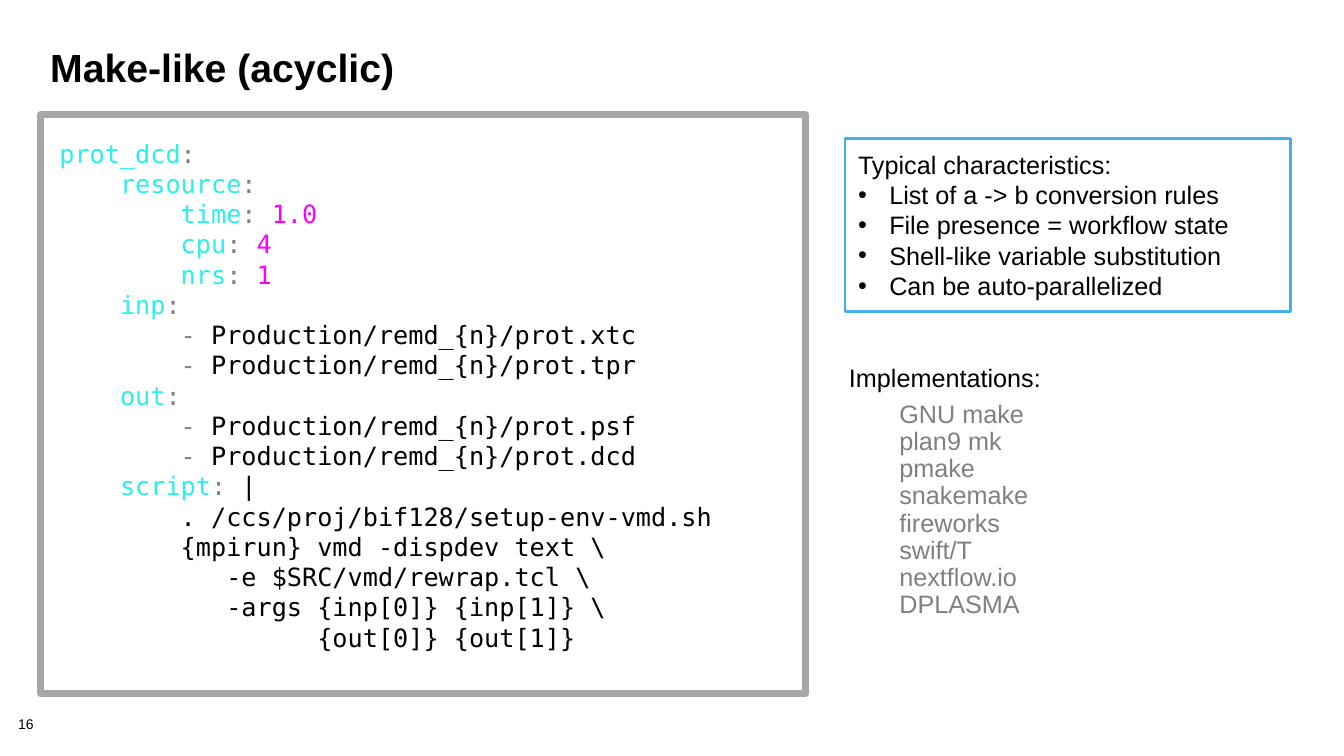
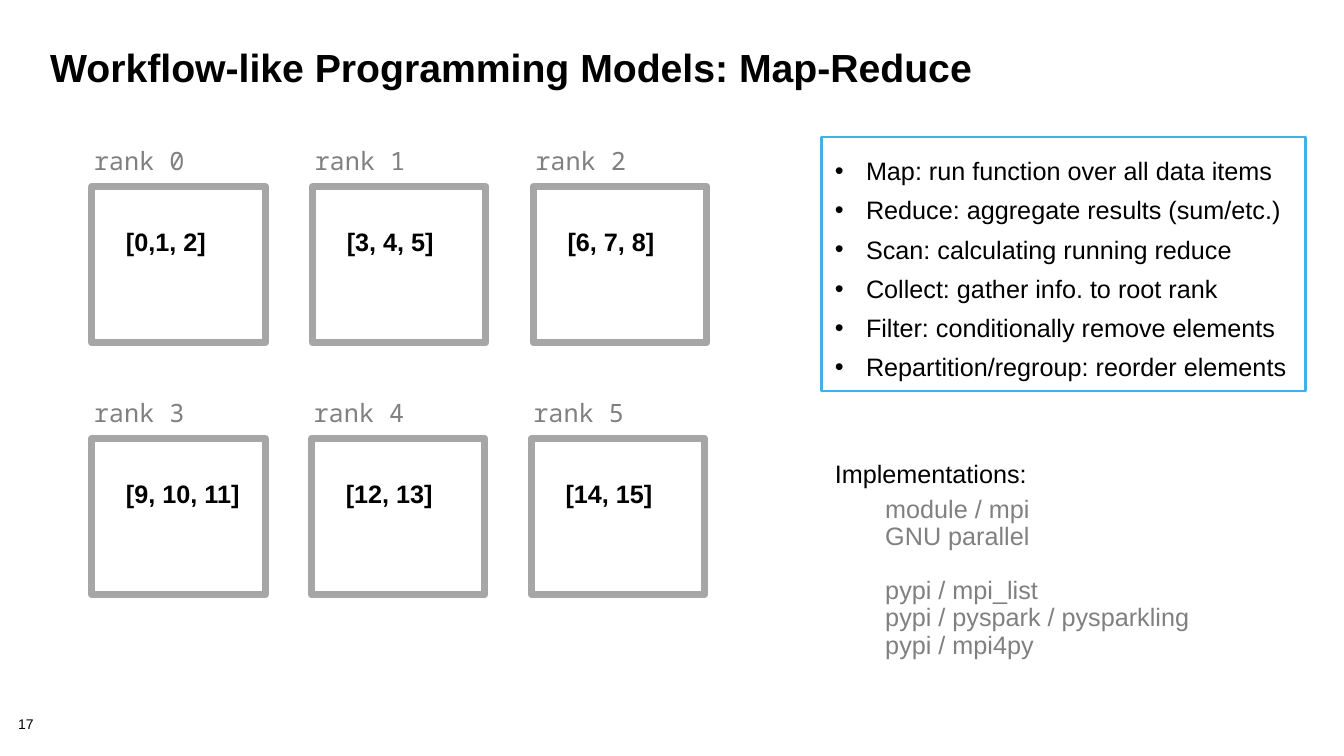
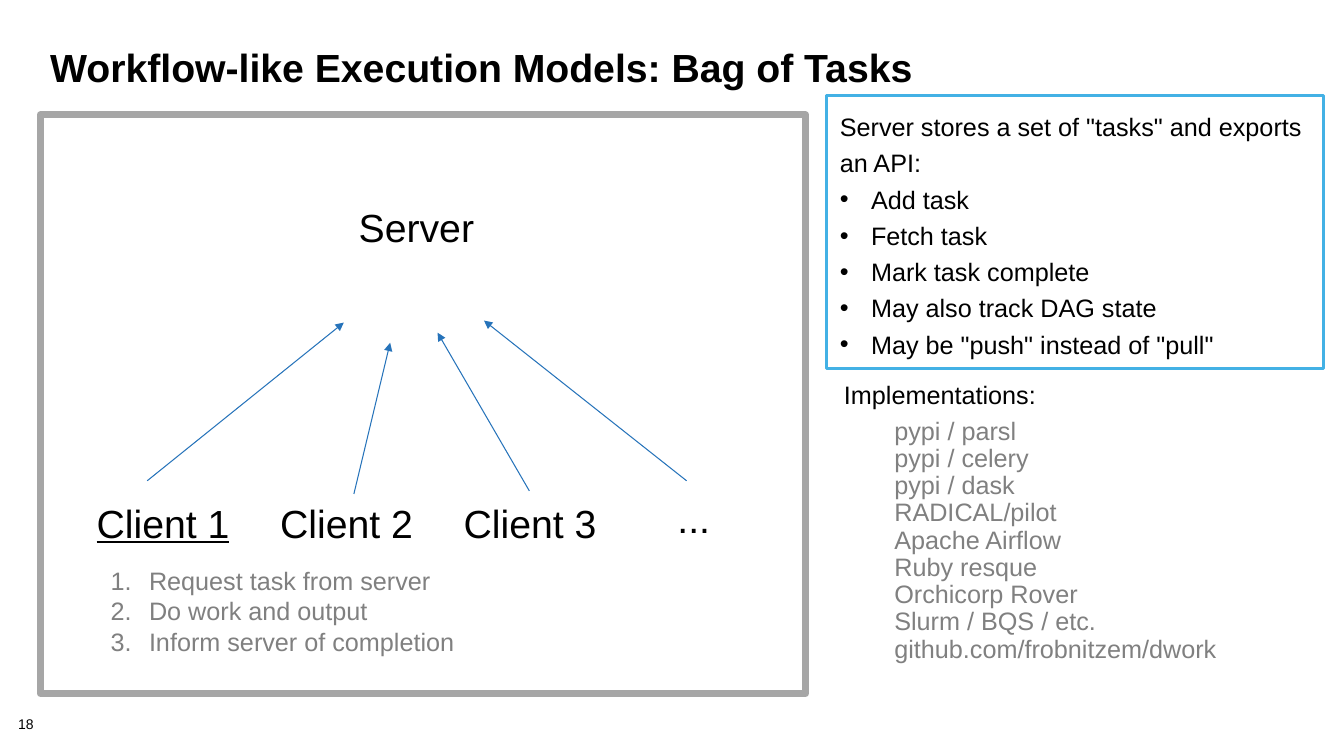
from pptx import Presentation
from pptx import util as u
from pptx.dml.color import RGBColor
from pptx.enum import shapes, text
from pptx.oxml.ns import qn
from lxml import etree

PX = 9144  # EMU per px, 100 px to the inch
COLORS = {
    "ink": "000000",
    "muted": "808080",
    "frame": "A6A6A6",
    "accent": "43B1E5",
    "arrow": "2673BA",
    "key": "2CEEEB",
    "number": "FB00FF",
}
SANS, CODE, RANK = "Arial", "DejaVu Sans Mono", "Noto Sans Mono"
THIN_INSETS, WIDE_INSETS = (10, 5), (13, 10)
FRAME = (40, 114, 759, 574)

PROT_RULE = """\
prot_dcd:
    resource:
        time: 1.0
        cpu: 4
        nrs: 1
    inp:
        - Production/remd_{n}/prot.xtc
        - Production/remd_{n}/prot.tpr
    out:
        - Production/remd_{n}/prot.psf
        - Production/remd_{n}/prot.dcd
    script: |
        . /ccs/proj/bif128/setup-env-vmd.sh
        {mpirun} vmd -dispdev text \\
           -e $SRC/vmd/rewrap.tcl \\
           -args {inp[0]} {inp[1]} \\
                 {out[0]} {out[1]}"""


def px(length):
    return u.Emu(length * PX)


def color(name):
    return RGBColor.from_string(COLORS[name])


def style(run, ink="ink", size=18, font=SANS, bold=False, underline=False):
    run.font.name, run.font.size = font, u.Pt(size)
    run.font.bold, run.font.underline = bold, underline
    run.font.color.rgb = color(ink)


def prepare(frame, insets, anchor):
    frame.word_wrap = True
    frame.vertical_anchor = anchor
    frame.margin_left = frame.margin_right = px(insets[0])
    frame.margin_top = frame.margin_bottom = px(insets[1])


def next_paragraph(frame):
    first = frame.paragraphs[0]
    return frame.add_paragraph() if first.runs else first


def add_line(frame, words, spacing=1.0, **look):
    paragraph = next_paragraph(frame)
    paragraph.text = words
    paragraph.alignment = text.PP_ALIGN.LEFT
    paragraph.line_spacing = spacing
    style(paragraph.runs[0], **look)
    return paragraph


def indent(paragraph, left, hanging=0):
    properties = paragraph._p.get_or_add_pPr()
    properties.set("marL", str(px(left)))
    properties.set("indent", str(-px(hanging)))
    return properties


def add_bullet(frame, words, spacing=1.0):
    properties = indent(add_line(frame, words, spacing), 31, 31)
    etree.SubElement(properties, qn("a:buFont"), typeface=SANS)
    etree.SubElement(properties, qn("a:buChar"), char="•")


def add_label(slide, box, words=None, insets=THIN_INSETS,
              anchor=text.MSO_ANCHOR.TOP, **look):
    frame = slide.shapes.add_textbox(*map(px, box)).text_frame
    prepare(frame, insets, anchor)
    if words:
        add_line(frame, words, **look)
    return frame


def add_frame(slide, box, outline="frame", width=5):
    rect = slide.shapes.add_shape(shapes.MSO_SHAPE.RECTANGLE, *map(px, box))
    rect.shadow.inherit = False
    rect.fill.background()
    rect.line.color.rgb = color(outline)
    rect.line.width = u.Pt(width)
    return rect


def add_summary(slide, box, bullets, intro=None, spacing=1.0):
    frame = add_frame(slide, box, "accent", 2).text_frame
    prepare(frame, WIDE_INSETS, text.MSO_ANCHOR.MIDDLE)
    if intro:
        add_line(frame, intro, spacing)
    for bullet in bullets:
        add_bullet(frame, bullet, spacing)


def add_implementations(slide, box, *groups):
    """List tool names under a heading, with a gap before each later group."""
    frame = add_label(slide, box, "Implementations:", WIDE_INSETS,
                      text.MSO_ANCHOR.MIDDLE, spacing=0.9)
    for group_index, group in enumerate(groups):
        for tool_index, tool in enumerate(group):
            entry = add_line(frame, tool, 0.9, ink="muted")
            indent(entry, 50)
            if tool_index == 0:
                entry.space_before = u.Pt(19 if group_index else 6)


def color_code(line):
    """Split a line of the rule file into (words, colour) pieces."""
    key, colon, value = line.partition(":")
    if colon:
        ink = "ink" if "|" in value else "number"
        return [(key, "key"), (colon, "muted"), (value, ink)]
    dash = line.find("- ") + 2 if line.lstrip().startswith("- ") else 0
    return [(line[:dash], "muted"), (line[dash:], "ink")]


def add_code(slide, box, source):
    frame = add_label(slide, box)
    for line in source.splitlines():
        paragraph = next_paragraph(frame)
        for words, ink in color_code(line):
            if words:
                run = paragraph.add_run()
                run.text = words
                style(run, ink, font=CODE)


def add_rank(slide, left, top, name, items):
    add_frame(slide, (left, top, 172, 155))
    middle = dict(insets=WIDE_INSETS, anchor=text.MSO_ANCHOR.MIDDLE, spacing=0.9)
    add_label(slide, (left - 11, top - 47, 172, 47), name,
              ink="muted", font=RANK, **middle)
    add_label(slide, (left + 21, top + 33, 150, 47), items, bold=True, **middle)


def add_arrow(slide, start, end):
    arrow = slide.shapes.add_connector(
        shapes.MSO_CONNECTOR.STRAIGHT, *map(px, start + end))
    arrow.line.color.rgb = color("arrow")
    arrow.line.width = u.Pt(0.75)
    properties = arrow.element.spPr
    etree.SubElement(properties.find(qn("a:ln")), qn("a:tailEnd"), type="triangle")
    etree.SubElement(properties, qn("a:effectLst"))


def add_steps(slide, box, steps):
    frame = add_label(slide, box)
    for step in steps:
        properties = indent(add_line(frame, step, ink="muted"), 38, 38)
        etree.SubElement(properties, qn("a:buFont"), typeface=SANS)
        etree.SubElement(properties, qn("a:buAutoNum"), type="arabicPeriod")


def new_slide(deck, number, title):
    slide = deck.slides.add_slide(deck.slide_layouts[6])
    add_label(slide, (18, 712, 56, 16), str(number), (0, 0), size=10, spacing=0.9)
    add_label(slide, (40, 45, 1244, 78), title, size=28, bold=True, spacing=0.85)
    return slide


def build_make(deck):
    slide = new_slide(deck, 16, "Make-like (acyclic)")
    add_frame(slide, FRAME)
    add_summary(slide, (838, 137, 442, 172), [
        "List of a -> b conversion rules",
        "File presence = workflow state",
        "Shell-like variable substitution",
        "Can be auto-parallelized",
    ], intro="Typical characteristics:")
    add_implementations(slide, (829, 351, 461, 275), [
        "GNU make", "plan9 mk", "pmake", "snakemake",
        "fireworks", "swift/T", "nextflow.io", "DPLASMA",
    ])
    add_code(slide, (49, 132, 739, 525), PROT_RULE)


def build_map_reduce(deck):
    slide = new_slide(deck, 17, "Workflow-like Programming Models: Map-Reduce")
    rank_rows = [
        (185, 219, ["[0,1, 2]", "[3, 4, 5]", "[6, 7, 8]"]),
        (435, 218, ["[9, 10, 11]", "[12, 13]", "[14, 15]"]),
    ]
    for row, (top, pitch, row_items) in enumerate(rank_rows):
        for column, items in enumerate(row_items):
            add_rank(slide, 91 + column * pitch, top,
                     f"rank {row * 3 + column}", items)
    add_summary(slide, (815, 136, 480, 252), [
        "Map: run function over all data items",
        "Reduce: aggregate results (sum/etc.)",
        "Scan: calculating running reduce",
        "Collect: gather info. to root rank",
        "Filter: conditionally remove elements",
        "Repartition/regroup: reorder elements",
    ], spacing=1.3)
    add_implementations(
        slide, (815, 446, 461, 220),
        ["module / mpi", "GNU parallel"],
        ["pypi / mpi_list", "pypi / pyspark / pysparkling", "pypi / mpi4py"])


def build_bag_of_tasks(deck):
    slide = new_slide(deck, 18, "Workflow-like Execution Models: Bag of Tasks")
    add_frame(slide, FRAME)
    add_summary(slide, (820, 95, 493, 271), [
        "Add task",
        "Fetch task",
        "Mark task complete",
        "May also track DAG state",
        'May be "push" instead of "pull"',
    ], intro='Server stores a set of "tasks" and exports an API:', spacing=1.2)
    add_implementations(slide, (824, 368, 461, 302), [
        "pypi / parsl", "pypi / celery", "pypi / dask", "RADICAL/pilot",
        "Apache Airflow", "Ruby resque", "Orchicorp Rover",
        "Slurm / BQS / etc.", "github.com/frobnitzem/dwork",
    ])
    add_label(slide, (346, 197, 236, 57), "Server", size=28)
    for index in range(3):
        add_label(slide, (86 + index * 182, 490, 170, 57),
                  f"Client {index + 1}", size=28, underline=index == 0)
    add_label(slide, (662, 485, 121, 57), "...", size=28)
    for start, end in [
        ((146, 477), (341, 320)),
        ((351, 490), (387, 340)),
        ((525, 487), (434, 330)),
        ((681, 477), (480, 318)),
    ]:
        add_arrow(slide, start, end)
    add_steps(slide, (100, 556, 667, 101), [
        "Request task from server",
        "Do work and output",
        "Inform server of completion",
    ])


def main():
    deck = Presentation()
    deck.slide_width, deck.slide_height = px(1333), px(750)
    build_make(deck)
    build_map_reduce(deck)
    build_bag_of_tasks(deck)
    deck.save("out.pptx")


if __name__ == "__main__":
    main()
